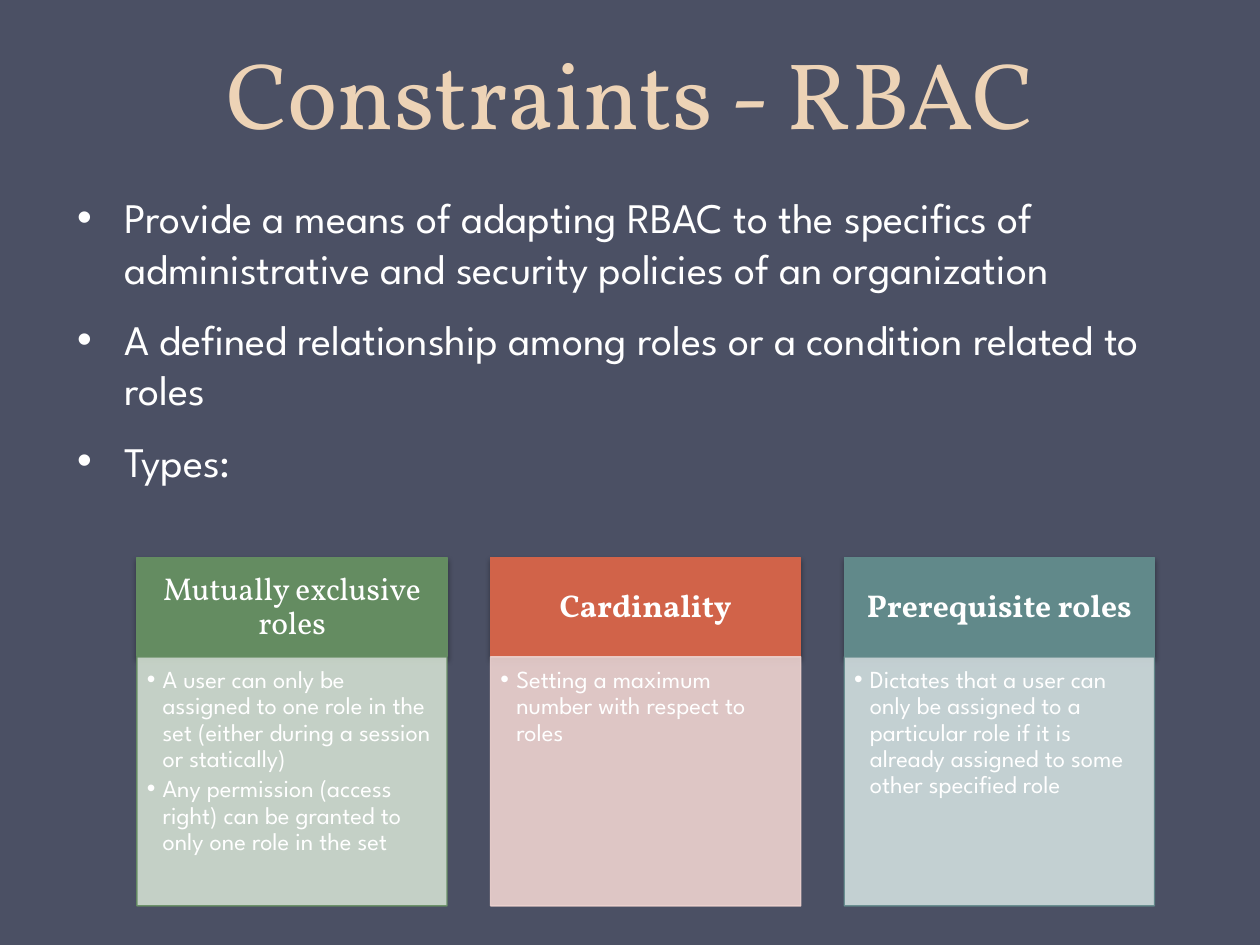
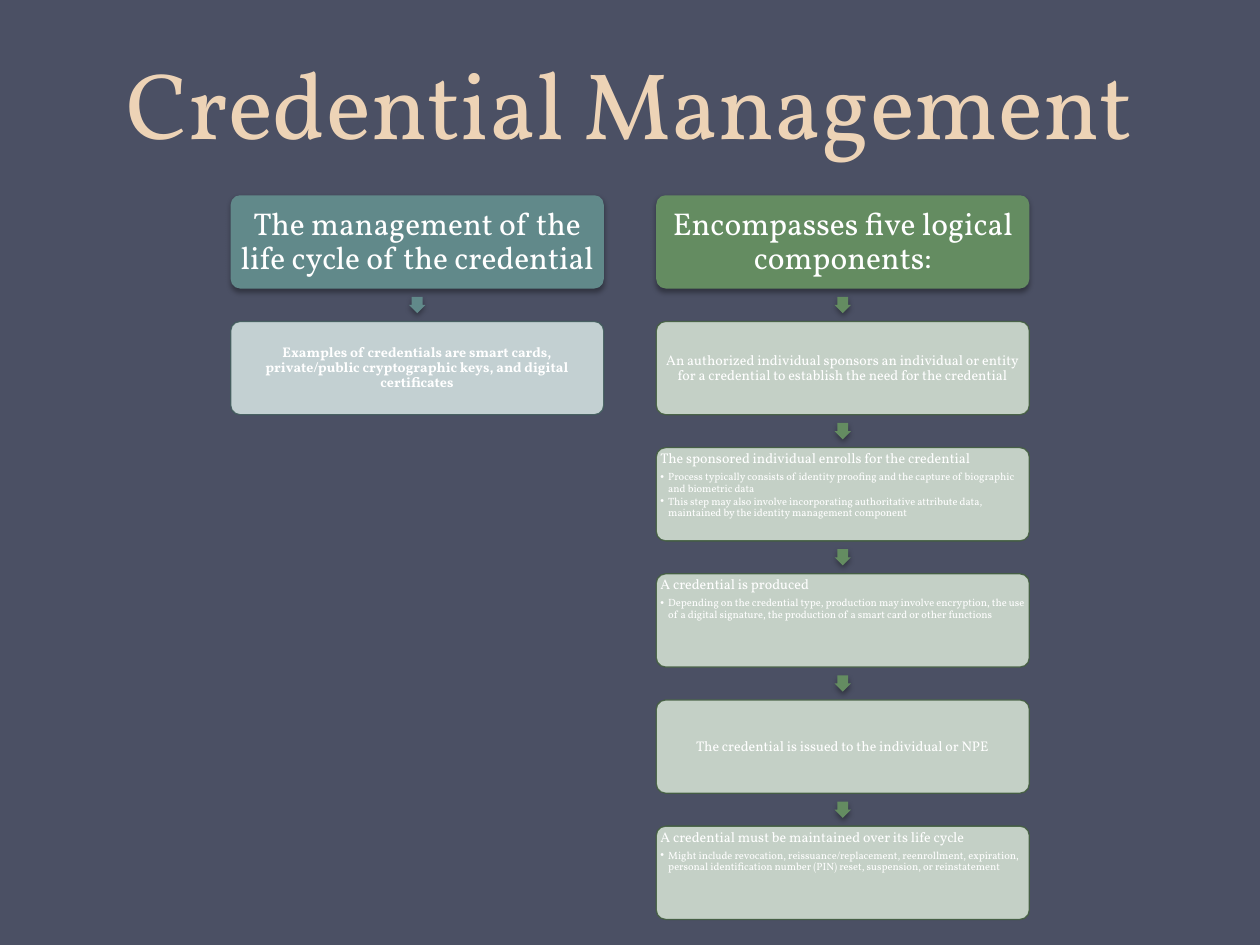
from lxml.etree import SubElement
from pptx import Presentation
from pptx.dml.color import RGBColor
from pptx.enum.shapes import MSO_SHAPE
from pptx.enum.text import MSO_ANCHOR, MSO_AUTO_SIZE, PP_ALIGN
from pptx.oxml.ns import qn
from pptx.util import Pt

COLORS = {
    "back": "4B5064", "title": "EDD3B6", "text": "FFFFFF", "shadow": "000000",
    "green": "648C61", "green_pale": "D2DFD1", "green_dark": "435E40",
    "red": "D16349", "red_pale": "EED3D0",
    "teal": "61898A", "teal_pale": "D1DEDF", "teal_dark": "415B5C",
}
SERIF, SANS = "Vollkorn", "League Spartan"

BULLETS = [
    "Provide a means of adapting RBAC to the specifics of administrative and "
    "security policies of an organization",
    "A defined relationship among roles or a condition related to roles",
    "Types:",
]
# heading, bold, fill, pale fill, outline, points
CONSTRAINTS = [
    ("Mutually exclusive roles", False, "green", "green_pale", "green", [
        "A user can only be assigned to one role in the set (either during a "
        "session or statically)",
        "Any permission (access right) can be granted to only one role in the set"]),
    ("Cardinality", True, "red", "red_pale", "red_pale", [
        "Setting a maximum number with respect to roles"]),
    ("Prerequisite roles", True, "teal", "teal_pale", "teal", [
        "Dictates that a user can only be assigned to a particular role if it is "
        "already assigned to some other specified role"]),
]
# each step: lead text, details
CREDENTIAL_STEPS = [
    ("Examples of credentials are smart cards, private/public cryptographic keys, "
     "and digital certificates", []),
]
COMPONENT_STEPS = [
    ("An authorized individual sponsors an individual or entity for a credential to "
     "establish the need for the credential", []),
    ("The sponsored individual enrolls for the credential", [
        "Process typically consists of identity proofing and the capture of "
        "biographic and biometric data",
        "This step may also involve incorporating authoritative attribute data, "
        "maintained by the identity management component"]),
    ("A credential is produced", [
        "Depending on the credential type, production may involve encryption, the "
        "use of a digital signature, the production of a smart card or other "
        "functions"]),
    ("The credential is issued to the individual or NPE", []),
    ("A credential must be maintained over its life cycle", [
        "Might include revocation, reissuance/replacement, reenrollment, expiration, "
        "personal identification number (PIN) reset, suspension, or reinstatement"]),
]


def rgb(name):
    return RGBColor.from_string(COLORS[name])


def add_shadow(sp):
    effects = sp._element.spPr.find(qn("a:effectLst"))
    shadow = SubElement(effects, qn("a:outerShdw"), blurRad=str(Pt(3.1)),
                        dist=str(Pt(1.8)), dir="5400000", rotWithShape="0")
    color = SubElement(shadow, qn("a:srgbClr"), val=COLORS["shadow"])
    SubElement(color, qn("a:alpha"), val="35000")


def add_block(slide, kind, box, fill, line=None, pale=False):
    """Add a filled shape: pale ones are slightly transparent, others cast a shadow."""
    sp = slide.shapes.add_shape(kind, *map(Pt, box))
    sp.shadow.inherit = False
    sp.fill.solid()
    sp.fill.fore_color.rgb = rgb(fill)
    if line:
        sp.line.color.rgb = rgb(line)
        sp.line.width = Pt(0.75)
    else:
        sp.line.fill.background()
    if pale:
        for color in sp._element.spPr.iter(qn("a:srgbClr")):
            SubElement(color, qn("a:alpha"), val="90000")
    else:
        add_shadow(sp)
    return sp


def set_frame(tf, margins, anchor=MSO_ANCHOR.TOP):
    tf.word_wrap = True
    tf.auto_size = MSO_AUTO_SIZE.NONE
    tf.vertical_anchor = anchor
    tf.margin_left, tf.margin_top, tf.margin_right, tf.margin_bottom = map(Pt, margins)


def write(p, text, size, font=SERIF, color="text", bold=False, align=PP_ALIGN.LEFT,
          spacing=0.9, indent=0):
    """Fill one paragraph; an indent makes it a bullet point."""
    p.text = text
    p.alignment = align
    p.line_spacing = spacing
    if indent:
        pPr = p._p.get_or_add_pPr()
        pPr.set("marL", str(Pt(indent)))
        pPr.set("indent", str(-Pt(indent)))
        SubElement(pPr, qn("a:buFont"), typeface="Arial")
        SubElement(pPr, qn("a:buChar"), char="•")
    for r in p.runs:
        r.font.size = Pt(size)
        r.font.name = font
        r.font.bold = bold
        r.font.color.rgb = rgb(color)


def write_points(tf, texts, size, font, indent, spacing, before=0, after=0):
    """Write bullet points, leaving the gaps only between paragraphs."""
    for i, text in enumerate(texts):
        p = tf.paragraphs[0] if not tf.text and i == 0 else tf.add_paragraph()
        if i and before:
            p.space_before = Pt(before)
        if after and i < len(texts) - 1:
            p.space_after = Pt(after)
        write(p, text, size, font, spacing=spacing, indent=indent)


def add_titled_slide(prs, title, title_height):
    slide = prs.slides.add_slide(prs.slide_layouts[5])
    sp = slide.shapes.title
    sp.left, sp.top, sp.width, sp.height = map(Pt, (36, 0, 648, title_height))
    set_frame(sp.text_frame, (7.2, 3.6, 7.2, 3.6), MSO_ANCHOR.BOTTOM)
    write(sp.text_frame.paragraphs[0], title, 54, color="title",
          align=PP_ALIGN.CENTER, spacing=Pt(58))
    return slide


def add_bullets(slide, box, texts):
    tf = slide.shapes.add_textbox(*map(Pt, box)).text_frame
    set_frame(tf, (7.2, 3.6, 7.2, 3.6))
    write_points(tf, texts, 24, SANS, 27, 1.0, before=12)


def add_card(slide, box, heading, bold, fill, pale, line, points):
    left, top, width, height = box
    head_height = 56.7
    head = add_block(slide, MSO_SHAPE.RECTANGLE, (left, top, width, head_height),
                     fill, fill)
    set_frame(head.text_frame, (10, 5.7, 10, 5.7), MSO_ANCHOR.MIDDLE)
    write(head.text_frame.paragraphs[0], heading, 18, bold=bold,
          align=PP_ALIGN.CENTER)

    body = add_block(slide, MSO_SHAPE.RECTANGLE,
                     (left, top + head_height, width, height - head_height),
                     pale, line, pale=True)
    set_frame(body.text_frame, (5.7, 5.7, 7.6, 8.5))
    write_points(body.text_frame, points, 14, SANS, 9, 0.9, after=2.1)


def add_step(slide, box, lead, details, pale, line, bold):
    sp = add_block(slide, MSO_SHAPE.ROUNDED_RECTANGLE, box, pale, line, pale=True)
    sp.adjustments[0] = 0.1
    tf = sp.text_frame
    set_frame(tf, (0.8,) * 4, MSO_ANCHOR.TOP if details else MSO_ANCHOR.MIDDLE)
    p = tf.paragraphs[0]
    write(p, lead, 8, bold=bold,
          align=PP_ALIGN.LEFT if details else PP_ALIGN.CENTER)
    if details:
        p.space_after = Pt(2.8)
        write_points(tf, details, 6, SERIF, 4.5, 0.9, after=0.9)


def add_flow(slide, left, top, heading, steps, hue, bold=False):
    """Stack a heading and its steps, with an arrow in each gap."""
    width, height, pitch, arrow = 213.2, 53.3, 72.1, 9.3
    head = add_block(slide, MSO_SHAPE.ROUNDED_RECTANGLE, (left, top, width, height), hue)
    head.adjustments[0] = 0.1
    set_frame(head.text_frame, (2.2,) * 4, MSO_ANCHOR.MIDDLE)
    write(head.text_frame.paragraphs[0], heading, 18, align=PP_ALIGN.CENTER)

    for i, (lead, details) in enumerate(steps, 1):
        y = top + i * pitch
        arrow_box = (left + (width - arrow) / 2, y - (pitch - height + arrow) / 2,
                     arrow, arrow)
        sp = add_block(slide, MSO_SHAPE.DOWN_ARROW, arrow_box, hue)
        sp.adjustments[0], sp.adjustments[1] = 0.67, 0.5
        add_step(slide, (left, y, width, height), lead, details,
                 hue + "_pale", hue + "_dark", bold)


def build_constraints(prs):
    slide = add_titled_slide(prs, "Constraints - RBAC", 88.6)
    add_bullets(slide, (37, 106, 648, 396), BULLETS)
    for i, card in enumerate(CONSTRAINTS):
        add_card(slide, (78.2 + i * 202.1, 318.7, 177.3, 199), *card)


def build_credentials(prs):
    slide = add_titled_slide(prs, "Credential Management", 94.3)
    add_flow(slide, 131.8, 111.6, "The management of the life cycle of the credential",
             CREDENTIAL_STEPS, "teal", bold=True)
    add_flow(slide, 375, 111.6, "Encompasses five logical components:",
             COMPONENT_STEPS, "green")


def main():
    prs = Presentation()
    prs.slide_width, prs.slide_height = Pt(720), Pt(540)
    back = prs.slide_master.background.fill
    back.solid()
    back.fore_color.rgb = rgb("back")
    build_constraints(prs)
    build_credentials(prs)
    prs.save("out.pptx")


if __name__ == "__main__":
    main()
